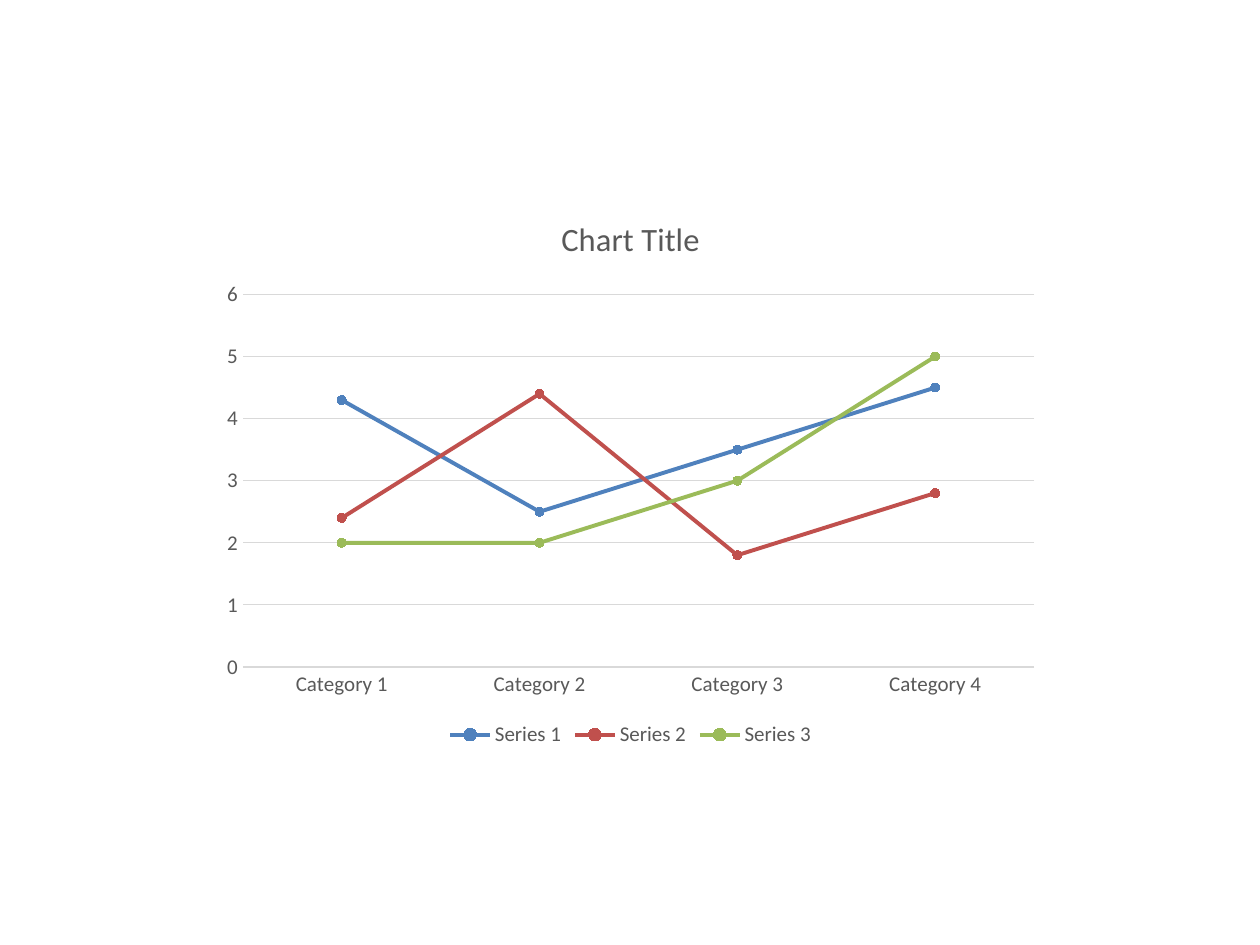
import pptx
import pptx.util
import pptx.chart.data
import pptx.dml.color
import pptx.enum.chart

Inches = pptx.util.Inches
Pt = pptx.util.Pt
enum = pptx.enum.chart

GREY = "595959"
RULE = "D9D9D9"
GROUPS = [f"Category {n}" for n in range(1, 5)]
SERIES = [
    ("Series 1", (4.3, 2.5, 3.5, 4.5), "4F81BD"),
    ("Series 2", (2.4, 4.4, 1.8, 2.8), "C0504D"),
    ("Series 3", (2, 2, 3, 5), "9BBB59"),
]


def color(text):
    return pptx.dml.color.RGBColor.from_string(text)


def set_font(font, size, tint=GREY):
    font.name = "Calibri"
    font.size = Pt(size)
    font.bold = False
    font.color.rgb = color(tint)


def set_line(line, tint, width):
    line.color.rgb = color(tint)
    line.width = Pt(width)


def style_axes(chart):
    for axis in (chart.category_axis, chart.value_axis):
        axis.major_tick_mark = enum.XL_TICK_MARK.NONE
        axis.minor_tick_mark = enum.XL_TICK_MARK.NONE
        set_font(axis.tick_labels.font, 12)
    set_line(chart.category_axis.format.line, RULE, 0.75)
    value = chart.value_axis
    value.minimum_scale, value.maximum_scale, value.major_unit = 0, 6, 1
    value.format.line.fill.background()
    value.has_major_gridlines = True
    set_line(value.major_gridlines.format.line, RULE, 0.75)


def style_lines(plot):
    plot.vary_by_categories = False
    for series, (_, _, tint) in zip(plot.series, SERIES):
        series.smooth = False
        set_line(series.format.line, tint, 2.25)
        mark = series.marker
        mark.style = enum.XL_MARKER_STYLE.CIRCLE
        mark.size = 5
        mark.format.fill.solid()
        mark.format.fill.fore_color.rgb = color(tint)
        set_line(mark.format.line, tint, 0.75)


def add_graph(slide, left, top, width, height):
    data = pptx.chart.data.CategoryChartData()
    data.categories = GROUPS
    for name, values, _ in SERIES:
        data.add_series(name, values)
    chart = slide.shapes.add_chart(
        enum.XL_CHART_TYPE.LINE_MARKERS, left, top, width, height, data
    ).chart
    set_font(chart.font, 10, "000000")
    chart.has_title = True
    title = chart.chart_title
    title.include_in_layout = False
    title.text_frame.text = "Chart Title"
    set_font(title.text_frame.paragraphs[0].font, 18.6)
    chart.has_legend = True
    chart.legend.position = enum.XL_LEGEND_POSITION.BOTTOM
    chart.legend.include_in_layout = False
    set_font(chart.legend.font, 12)
    style_axes(chart)
    style_lines(chart.plots[0])


def main():
    deck = pptx.Presentation()
    deck.slide_width = Inches(10)
    deck.slide_height = Inches(7.5)
    slide = deck.slides.add_slide(deck.slide_layouts[6])
    add_graph(slide, Inches(1.67), Inches(1.53), Inches(6.67), Inches(4.44))
    deck.save("out.pptx")


if __name__ == "__main__":
    main()
